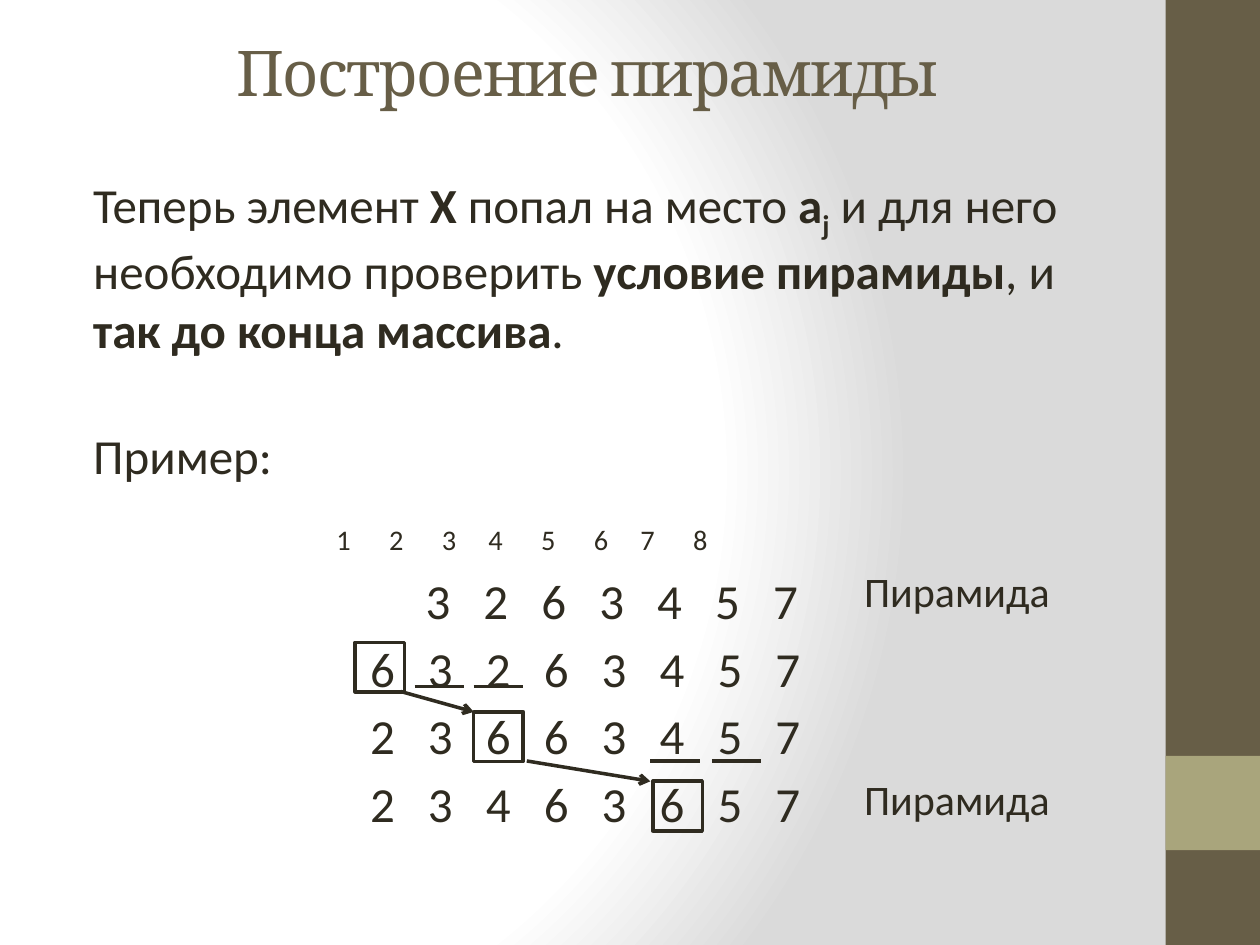
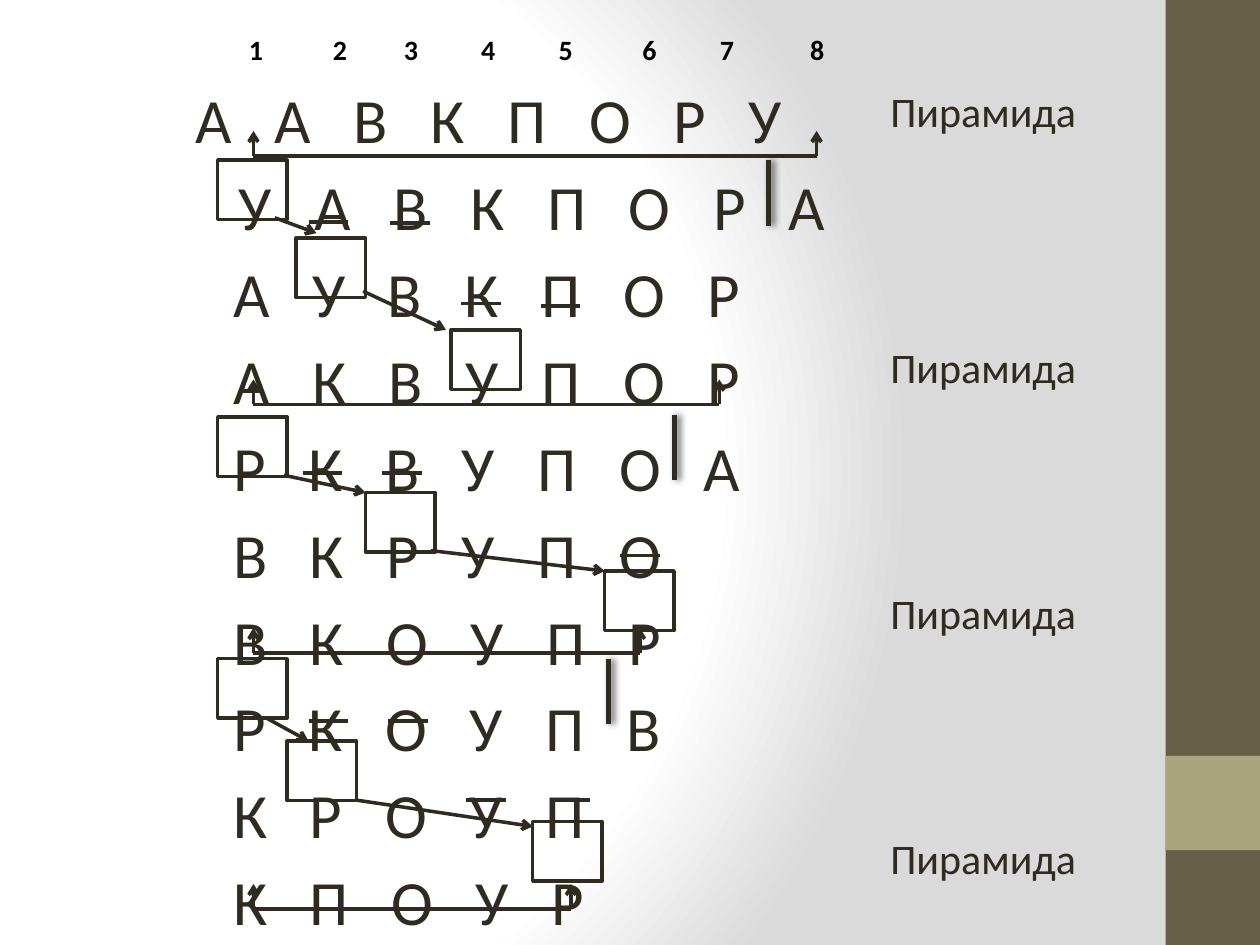
"""Build two slides on heap construction and heap sort."""
from dataclasses import dataclass

from pptx import Presentation
from pptx.dml.color import RGBColor
from pptx.enum.shapes import MSO_CONNECTOR, MSO_SHAPE
from pptx.enum.text import MSO_ANCHOR, MSO_AUTO_SIZE, PP_ALIGN
from pptx.oxml import parse_xml
from pptx.oxml.ns import nsdecls
from pptx.util import Cm, Pt

STRAIGHT = MSO_CONNECTOR.STRAIGHT
RECT = MSO_SHAPE.RECTANGLE
MIDDLE = MSO_ANCHOR.MIDDLE
CENTER = PP_ALIGN.CENTER
NO_FIT = MSO_AUTO_SIZE.NONE

INK, BROWN, OLIVE, BLACK = "2F2B20", "675E47", "A9A57C", "000000"
BODY_FONT, TITLE_FONT = "Calibri", "Cambria"
TITLE_ONLY, BLANK = 5, 6
SPACE_WIDTH = 0.226
LABEL = "Пирамида"


@dataclass(frozen=True)
class Row:
    """A row of items; gaps count the space widths between neighbours."""
    text: str
    indent: float
    size: float
    before: float
    gaps: tuple = (3,)
    bold: bool = False
    color: str = INK


@dataclass(frozen=True)
class Line:
    """A straight line from one point to another, in centimetres."""
    x1: float
    y1: float
    x2: float
    y2: float
    width: float = 2
    arrow: bool = False
    shadow: bool = False


@dataclass(frozen=True)
class Bracket:
    """Two arrows rising from a base line, marking a swapped pair."""
    right: float
    y: float
    left: float = 5.11
    stem: float = 0.5


def rgb(color: str) -> RGBColor:
    """Turn a hex string into a colour."""
    return RGBColor.from_string(color)


def add_run(p, text: str, *, size: float = 28, font: str = BODY_FONT, color: str = INK,
            bold: bool = False, spacing: float = 0, baseline: int = 0) -> None:
    """Add formatted text to a paragraph."""
    r = p.add_run()
    r.text = text
    r.font.size, r.font.name, r.font.bold = Pt(size), font, bold
    r.font.color.rgb = rgb(color)
    rpr = r._r.get_or_add_rPr()
    if spacing:
        rpr.set("spc", str(round(spacing * 100)))
    if baseline:
        rpr.set("baseline", str(baseline * 1000))


def add_text_frame(s, x: float, y: float, w: float, h: float):
    """Add a wrapping text box without insets and return its frame."""
    tf = s.shapes.add_textbox(Cm(x), Cm(y), Cm(w), Cm(h)).text_frame
    tf.word_wrap = True
    tf.margin_left = tf.margin_right = tf.margin_top = tf.margin_bottom = 0
    return tf


def add_label(s, x: float, y: float) -> None:
    """Mark a row as a finished heap."""
    tf = add_text_frame(s, x + 0.25, y + 0.13, 4.3, 1.02)
    add_run(tf.paragraphs[0], LABEL, size=24)


def add_row(p, row: Row) -> None:
    """Fill a paragraph with a row of evenly spread items."""
    p.space_before = Pt(row.before)
    p._p.get_or_add_pPr().set("marL", str(Cm(row.indent)))
    chunks = [row.text]
    if len(row.gaps) > 1:
        items = row.text.split(" ")
        chunks = [f"{item} " for item in items[:-1]] + items[-1:]
    for chunk, gap in zip(chunks, (*row.gaps, 1)):
        add_run(p, chunk, size=row.size, bold=row.bold, color=row.color,
                spacing=(gap - 1) * SPACE_WIDTH * row.size / 2)


def add_rect(s, x: float, y: float, w: float, h: float, *, fill: str = "", line: str = ""):
    """Add a rectangle with an optional fill and outline."""
    sp = s.shapes.add_shape(RECT, Cm(x), Cm(y), Cm(w), Cm(h))
    sp.shadow.inherit = False
    if fill:
        sp.fill.solid()
        sp.fill.fore_color.rgb = rgb(fill)
    else:
        sp.fill.background()
    if line:
        sp.line.color.rgb = rgb(line)
        sp.line.width = Pt(2)
    else:
        sp.line.fill.background()
    return sp


def add_line(s, line: Line) -> None:
    """Draw a line with its optional arrowhead and shadow."""
    c = s.shapes.add_connector(STRAIGHT, Cm(line.x1), Cm(line.y1), Cm(line.x2), Cm(line.y2))
    c.line.color.rgb = rgb(INK)
    c.line.width = Pt(line.width)
    if line.arrow:
        c.line._get_or_add_ln().append(parse_xml(f'<a:tailEnd {nsdecls("a")} type="arrow"/>'))
    shadow = ""
    if line.shadow:
        shadow = (f'<a:outerShdw blurRad="{Pt(4)}" dist="{Pt(2)}" dir="0">'
                  f'<a:srgbClr val="{BLACK}"><a:alpha val="60000"/></a:srgbClr></a:outerShdw>')
    c._element.spPr.append(parse_xml(f'<a:effectLst {nsdecls("a")}>{shadow}</a:effectLst>'))


def add_bracket(s, b: Bracket) -> None:
    """Draw a base line with an upward arrow at each end."""
    add_line(s, Line(b.left, b.y, b.right, b.y))
    for x in (b.left, b.right):
        add_line(s, Line(x, b.y, x, b.y - b.stem, arrow=True))


def add_marks(s, boxes, box_size, arrows, dashes, dash_length: float) -> None:
    """Draw the sifted element's boxes, its path and the compared children."""
    for x, y in boxes:
        add_rect(s, x, y, *box_size, line=INK)
    for ends in arrows:
        add_line(s, Line(*ends, arrow=True))
    for x, y in dashes:
        add_line(s, Line(x, y, x + dash_length, y))


def style_master(prs, s) -> None:
    """Give the master its gradient background and side band."""
    master = prs.slide_master
    master.background.fill.gradient()
    old = master.element.xpath("p:cSld/p:bg/p:bgPr/a:gradFill")[0]
    stops = "".join(f'<a:gs pos="{pos * 1000}"><a:srgbClr val="{color}"/></a:gs>'
                    for pos, color in ((0, "FFFFFF"), (75, "FFFFFF"), (100, "DADADA")))
    old.getparent().replace(old, parse_xml(
        f'<a:gradFill {nsdecls("a")} rotWithShape="1"><a:gsLst>{stops}</a:gsLst>'
        '<a:path path="circle"><a:fillToRect l="20000" t="50000" r="100000" b="50000"/>'
        '</a:path></a:gradFill>'))
    for y, h, color in ((0, 19.05, BROWN), (15.24, 1.9, OLIVE)):
        master.shapes.element.append(add_rect(s, 23.5, y, 1.9, h, fill=color).element)


def set_title(s, text: str) -> None:
    """Place and format the slide title."""
    sp = s.shapes.title
    sp.left, sp.top, sp.width, sp.height = Cm(1.27), Cm(0.76), Cm(21.16), Cm(1.37)
    tf = sp.text_frame
    tf.auto_size, tf.vertical_anchor = NO_FIT, MIDDLE
    p = tf.paragraphs[0]
    p.alignment = CENTER
    add_run(p, text, size=36, font=TITLE_FONT, color=BROWN, spacing=-1)


def build_heap_slide(s) -> None:
    """Show how one element is sifted down into place."""
    set_title(s, "Построение пирамиды")
    tf = add_text_frame(s, 1.88, 3.51, 20.35, 13.5)
    p = tf.paragraphs[0]
    for text, bold, baseline in (
            ("Теперь элемент ", False, 0), ("Х", True, 0), (" попал на место ", False, 0),
            ("a", True, 0), ("j", True, -25), (" и для него необходимо проверить ", False, 0),
            ("условие пирамиды", True, 0), (", и ", False, 0),
            ("так до конца массива", True, 0), (".", False, 0)):
        add_run(p, text, bold=bold, baseline=baseline)
    p = tf.add_paragraph()
    p.space_before = Pt(38)
    add_run(p, "Пример:")
    for row in (Row("1 2 3 4 5 6 7 8", 4.9, 16.2, 22, (6, 6, 5, 6, 6, 5, 6)),
                Row("3 2 6 3 4 5 7", 6.7, 28, 8),
                Row("6 3 2 6 3 4 5 7", 5.58, 28, 5),
                Row("2 3 6 6 3 4 5 7", 5.58, 28, 5),
                Row("2 3 4 6 3 6 5 7", 5.58, 28, 5)):
        add_row(tf.add_paragraph(), row)
    add_marks(s, boxes=((7.16, 12.95), (9.55, 14.35), (13.16, 15.75)), box_size=(1, 1),
              arrows=((8.08, 13.94, 9.55, 14.35), (10.62, 15.34, 13.11, 15.75)),
              dashes=((8.36, 13.84), (9.55, 13.84), (13.11, 15.34), (14.35, 15.34)),
              dash_length=1)
    for y in (11.28, 15.47):
        add_label(s, 17.17, y)


def build_sort_slide(s) -> None:
    """Trace the heap sort of eight letters."""
    tf = add_text_frame(s, 1.83, 0.66, 18, 18.3)
    add_row(tf.paragraphs[0], Row("1 2 3 4 5 6 7 8", 3.19, 16, 0, (11, 9, 10, 10, 11, 10, 12),
                                  bold=True, color=BLACK))
    add_row(tf.add_paragraph(), Row("А А В К П О Р У", 2.12, 36, 8))
    add_row(tf.add_paragraph(), Row("У А В К П О Р А", 2.98, 36, 6.5))
    for text in ("А У В К П О Р", "А К В У П О Р", "Р К В У П О А", "В К Р У П О",
                 "В К О У П Р", "Р К О У П В", "К Р О У П", "К П О У Р"):
        add_row(tf.add_paragraph(), Row(text, 2.87, 36, 6.5))
    for bracket in (Bracket(16.46, 3.14), Bracket(14.5, 8.15),
                    Bracket(12.9, 13.16), Bracket(11.51, 18.32)):
        add_bracket(s, bracket)
    add_marks(s, boxes=((4.39, 3.23), (5.97, 4.8), (9.09, 6.65),
                        (4.39, 8.41), (7.37, 9.93), (12.19, 11.51),
                        (4.39, 13.28), (5.79, 14.94), (10.74, 16.56)), box_size=(1.4, 1.2),
              arrows=((5.54, 4.39, 6.38, 4.7), (7.32, 5.87, 8.99, 6.65),
                      (5.72, 9.58, 7.37, 9.93), (8.69, 11.1, 12.19, 11.51),
                      (5.38, 14.48, 6.22, 14.94), (7.19, 16.13, 10.74, 16.66)),
              dashes=((6.22, 4.47), (7.87, 4.5), (9.3, 6.12), (10.9, 6.17),
                      (6.1, 9.53), (7.7, 9.53), (12.5, 11.2),
                      (6.22, 14.53), (7.82, 14.53), (9.4, 16.13), (11.1, 16.13)),
              dash_length=0.8)
    for x, y in ((15.49, 3.23), (13.59, 8.36), (12.27, 13.28)):
        add_line(s, Line(x, y, x, y + 1.32, width=3, shadow=True))
    for y in (1.6, 6.76, 11.71, 16.66):
        add_label(s, 17.7, y)


def main() -> None:
    """Build and save the presentation."""
    prs = Presentation()
    prs.slide_width, prs.slide_height = Cm(25.4), Cm(19.05)
    s = prs.slides.add_slide(prs.slide_layouts[TITLE_ONLY])
    style_master(prs, s)
    build_heap_slide(s)
    build_sort_slide(prs.slides.add_slide(prs.slide_layouts[BLANK]))
    prs.save("out.pptx")


if __name__ == "__main__":
    main()
